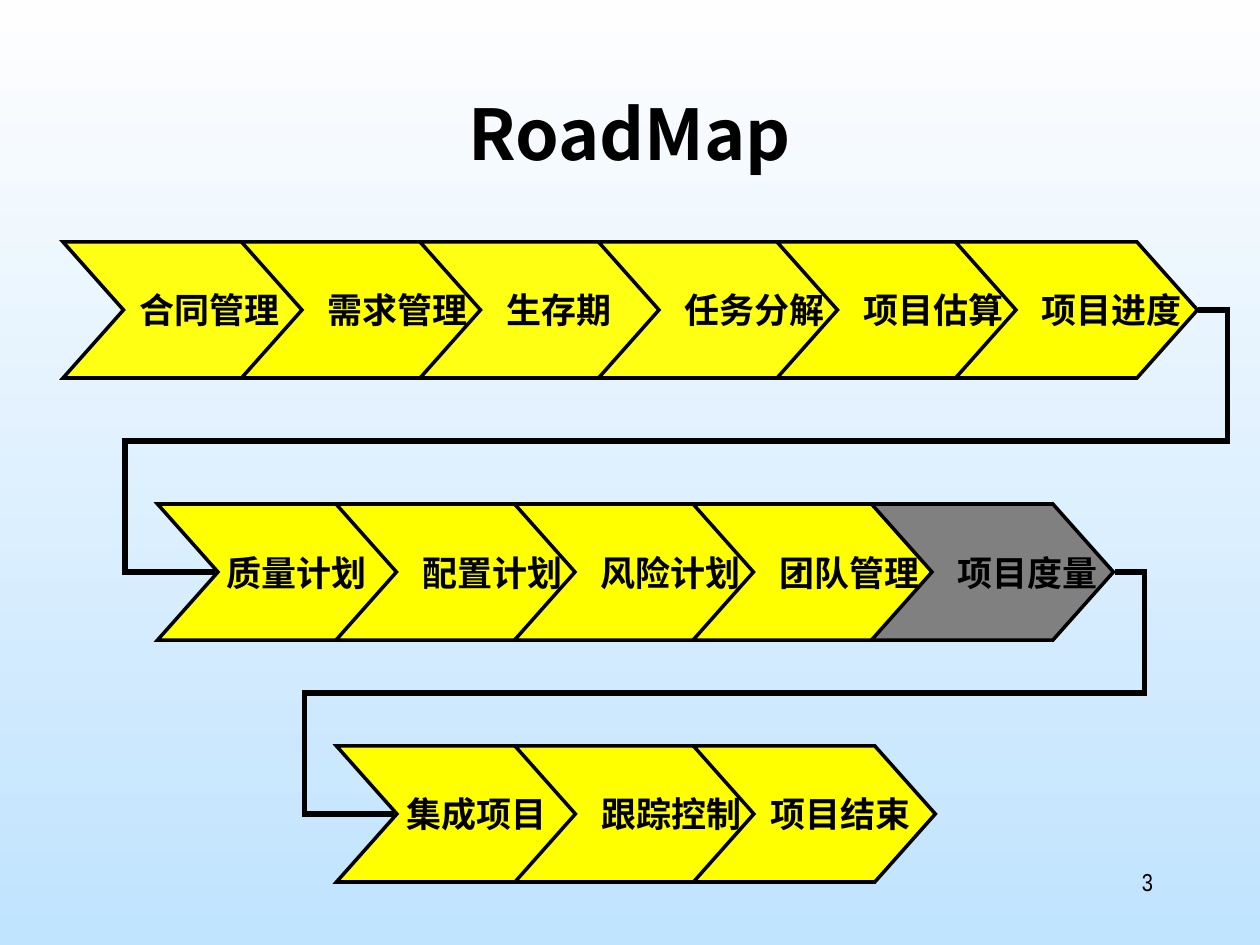
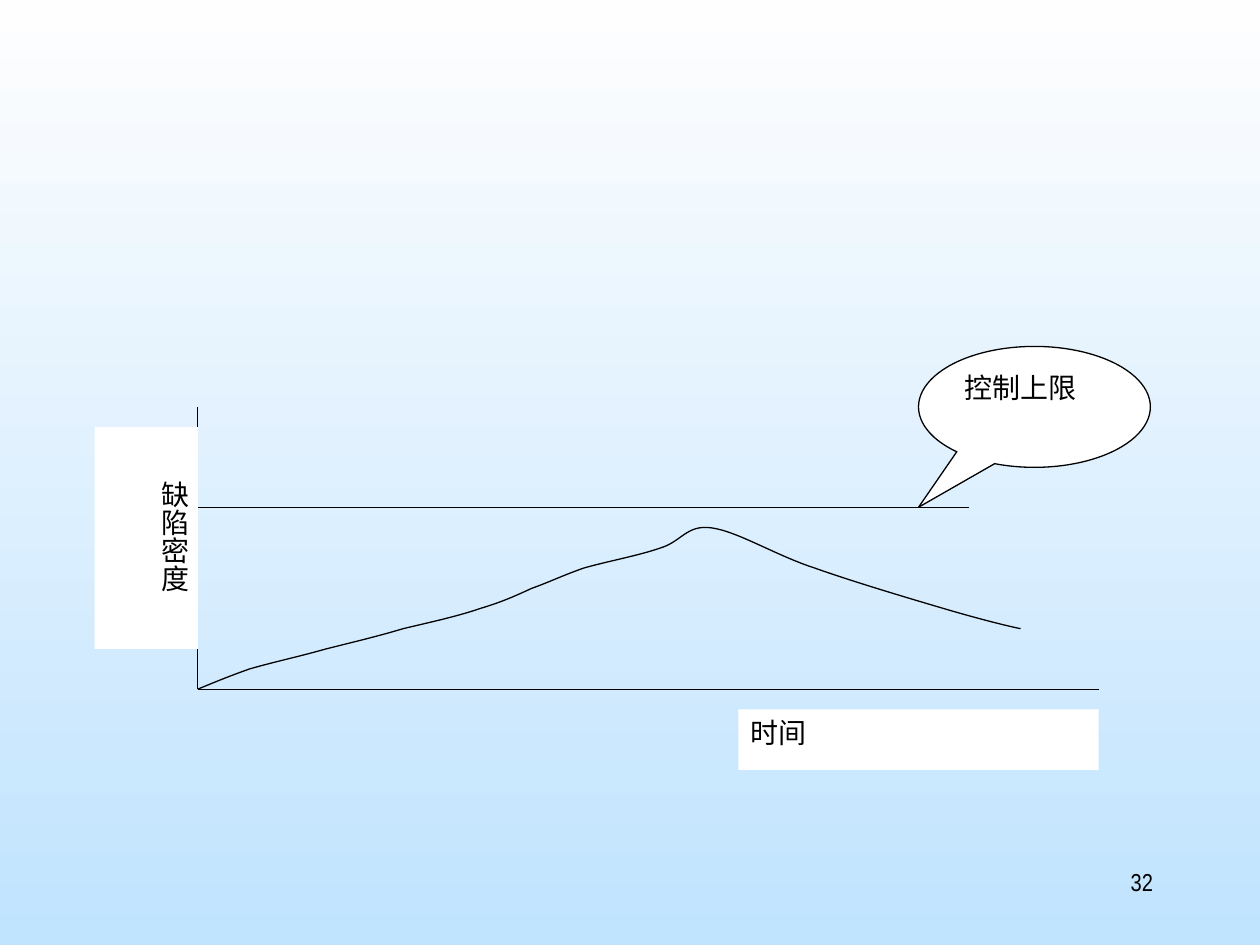
"""Build the roadmap slide and the defect density control slide."""
from lxml.etree import SubElement
from pptx import Presentation
from pptx.dml.color import RGBColor
from pptx.enum.shapes import MSO_CONNECTOR, MSO_SHAPE
from pptx.enum.text import MSO_ANCHOR, PP_ALIGN
from pptx.oxml.ns import qn
from pptx.util import Inches, Pt

COLORS = {
    "sky_top": "FEFEFE",
    "sky_bottom": "C0E3FE",
    "ink": "000000",
    "paper": "FFFFFF",
    "step": "FFFF00",
    "bright_step": "FFFF13",
    "current_step": "808080",
}
CJK_FONT = "Noto Sans CJK SC"
NARROW_FONT = "Arial Narrow"


def write_text(shape, text, size=16, font=CJK_FONT, bold=False, align=PP_ALIGN.LEFT,
               anchor=MSO_ANCHOR.TOP, wrap=True, insets=(0.1, 0.05, 0.1, 0.05)):
    frame = shape.text_frame
    frame.word_wrap = wrap
    frame.vertical_anchor = anchor
    frame.margin_left, frame.margin_top, frame.margin_right, frame.margin_bottom = map(Inches, insets)
    paragraph = frame.paragraphs[0]
    paragraph.alignment = align
    run = paragraph.add_run()
    run.text = text
    run.font.size = Pt(size)
    run.font.bold = bold
    run.font.name = font
    run.font.color.rgb = RGBColor.from_string(COLORS["ink"])
    SubElement(run.font._element, qn("a:ea"), typeface=CJK_FONT)


def paint(shape, line_width=0, fill=None):
    if fill:
        shape.fill.solid()
        shape.fill.fore_color.rgb = RGBColor.from_string(COLORS[fill])
    if line_width:
        shape.line.width = Pt(line_width)
        shape.line.color.rgb = RGBColor.from_string(COLORS["ink"])
        SubElement(shape.line._get_or_add_ln(), qn("a:miter"), lim="800000")
    else:
        shape.line.fill.background()
    SubElement(shape._element.spPr, qn("a:effectLst"))


presentation = Presentation()
presentation.slide_width = Inches(10)
presentation.slide_height = Inches(7.5)

slides = []
for number in ("3", "32"):
    slide = presentation.slides.add_slide(presentation.slide_layouts[6])
    background = slide.background.fill
    background.gradient()
    background.gradient_angle = 270
    for stop, position, color in zip(background.gradient_stops, (0, 1), ("sky_top", "sky_bottom")):
        stop.position = position
        stop.color.rgb = RGBColor.from_string(COLORS[color])
    number_box = slide.shapes.add_textbox(Inches(7.17), Inches(6.83), Inches(2.08), Inches(0.5))
    write_text(number_box, number, size=14, font=NARROW_FONT, align=PP_ALIGN.RIGHT)
    slides.append(slide)
roadmap, control = slides

title = roadmap.shapes.add_textbox(Inches(0.75), Inches(0.67), Inches(8.5), Inches(1.25))
write_text(title, "RoadMap", size=40, bold=True, align=PP_ALIGN.CENTER)

STEP_PITCH = 17 / 12
STEP_WIDTH, STEP_HEIGHT, STEP_POINT = 1.92, 1.08, 0.48
step_rows = [
    (0.5, 1.92, [("合同管理", 0.2, "bright_step"), ("需求管理", 0.28, "step"),
                 ("生存期", 0.14, "bright_step"), ("任务分解", 0.28, "bright_step"),
                 ("项目估算", 0.28, "step"), ("项目进度", 0.28, "step")]),
    (1.25, 4, [("质量计划", 0.14, "step"), ("配置计划", 0.28, "step"), ("风险计划", 0.28, "step"),
               ("团队管理", 0.28, "step"), ("项目度量", 0.28, "current_step")]),
    (2.67, 5.92, [("集成项目", 0.15, "step"), ("跟踪控制", 0.28, "step"), ("项目结束", 0.21, "step")]),
]
for row_left, top, steps in step_rows:
    for index, (label, text_shift, fill) in enumerate(steps):
        left = row_left + index * STEP_PITCH
        shoulder, middle, bottom = left + STEP_WIDTH - STEP_POINT, top + STEP_HEIGHT / 2, top + STEP_HEIGHT
        corners = [(shoulder, top), (left + STEP_WIDTH, middle), (shoulder, bottom),
                   (left, bottom), (left + STEP_POINT, middle)]
        builder = roadmap.shapes.build_freeform(Inches(left), Inches(top))
        builder.add_line_segments([(Inches(x), Inches(y)) for x, y in corners])
        step = builder.convert_to_shape()
        paint(step, 2, fill)
        write_text(step, label, size=20, font=NARROW_FONT, bold=True, align=PP_ALIGN.CENTER,
                   anchor=MSO_ANCHOR.MIDDLE, wrap=False, insets=(0.1 + 2 * text_shift, 0.05, 0.1, 0.05))

row_links = [
    ((9.51, 2.46), (1.71, 4.54), (-3000, 50000, 109200)),
    ((8.85, 4.54), (3.13, 6.46), (-4100, 50000, 112500)),
]
for start, end, bends in row_links:
    link = roadmap.shapes.add_connector(MSO_CONNECTOR.ELBOW, *map(Inches, start + end))
    geometry = link._element.spPr.find(qn("a:prstGeom"))
    geometry.set("prst", "bentConnector5")
    adjustments = geometry.find(qn("a:avLst"))
    for index, bend in enumerate(bends, 1):
        SubElement(adjustments, qn("a:gd"), name=f"adj{index}", fmla=f"val {bend}")
    paint(link, 3)

ORIGIN = (1.57, 5.47)
LIMIT_HEIGHT = 4.03
for start, end in [(ORIGIN, (8.72, 5.47)), (ORIGIN, (1.57, 3.23)),
                   ((1.57, LIMIT_HEIGHT), (7.69, LIMIT_HEIGHT))]:
    line = control.shapes.add_connector(MSO_CONNECTOR.STRAIGHT, *map(Inches, start + end))
    paint(line, 0.75)

density_points = [
    (1.69, 5.42), (1.81, 5.37), (1.98, 5.31), (2.15, 5.26), (2.38, 5.21), (2.59, 5.15),
    (2.79, 5.1), (3, 5.05), (3.2, 4.99), (3.41, 4.94), (3.64, 4.89), (3.81, 4.83),
    (3.98, 4.78), (4.09, 4.73), (4.22, 4.67), (4.36, 4.62), (4.46, 4.57), (4.63, 4.51),
    (4.8, 4.46), (5.07, 4.41), (5.24, 4.35), (5.41, 4.3), (5.45, 4.16), (5.65, 4.19),
    (5.86, 4.22), (6.16, 4.41), (6.47, 4.51), (6.78, 4.62), (7.22, 4.75), (7.49, 4.83),
    (7.76, 4.91), (8, 4.97), (8.1, 4.99),
]
builder = control.shapes.build_freeform(*map(Inches, ORIGIN))
builder.add_line_segments([(Inches(x), Inches(y)) for x, y in density_points], close=False)
density_curve = builder.convert_to_shape()
outline = next(density_curve._element.iter(qn("a:path")))
segments = outline.findall(qn("a:lnTo"))
for first in range(0, len(segments), 3):
    bezier = SubElement(outline, qn("a:cubicBezTo"))
    for segment in segments[first:first + 3]:
        bezier.append(segment[0])
        outline.remove(segment)
density_curve.fill.background()
paint(density_curve, 0.75)

callout = control.shapes.add_shape(MSO_SHAPE.OVAL_CALLOUT, Inches(7.29), Inches(2.75), Inches(1.84), Inches(0.96))
callout.adjustments[0], callout.adjustments[1] = -0.5, 0.83
paint(callout, 0.75, "paper")
write_text(callout, "控制上限")

density_label = control.shapes.add_shape(MSO_SHAPE.RECTANGLE, Inches(0.75), Inches(3.39), Inches(0.82), Inches(1.76))
paint(density_label, fill="paper")
write_text(density_label, "缺陷密度", insets=(0.05, 0.43, 0.05, 0.1))
density_label.text_frame._txBody.bodyPr.set("vert", "eaVert")

time_label = control.shapes.add_shape(MSO_SHAPE.RECTANGLE, Inches(5.86), Inches(5.63), Inches(2.86), Inches(0.48))
paint(time_label, fill="paper")
write_text(time_label, "时间")

presentation.save("out.pptx")
